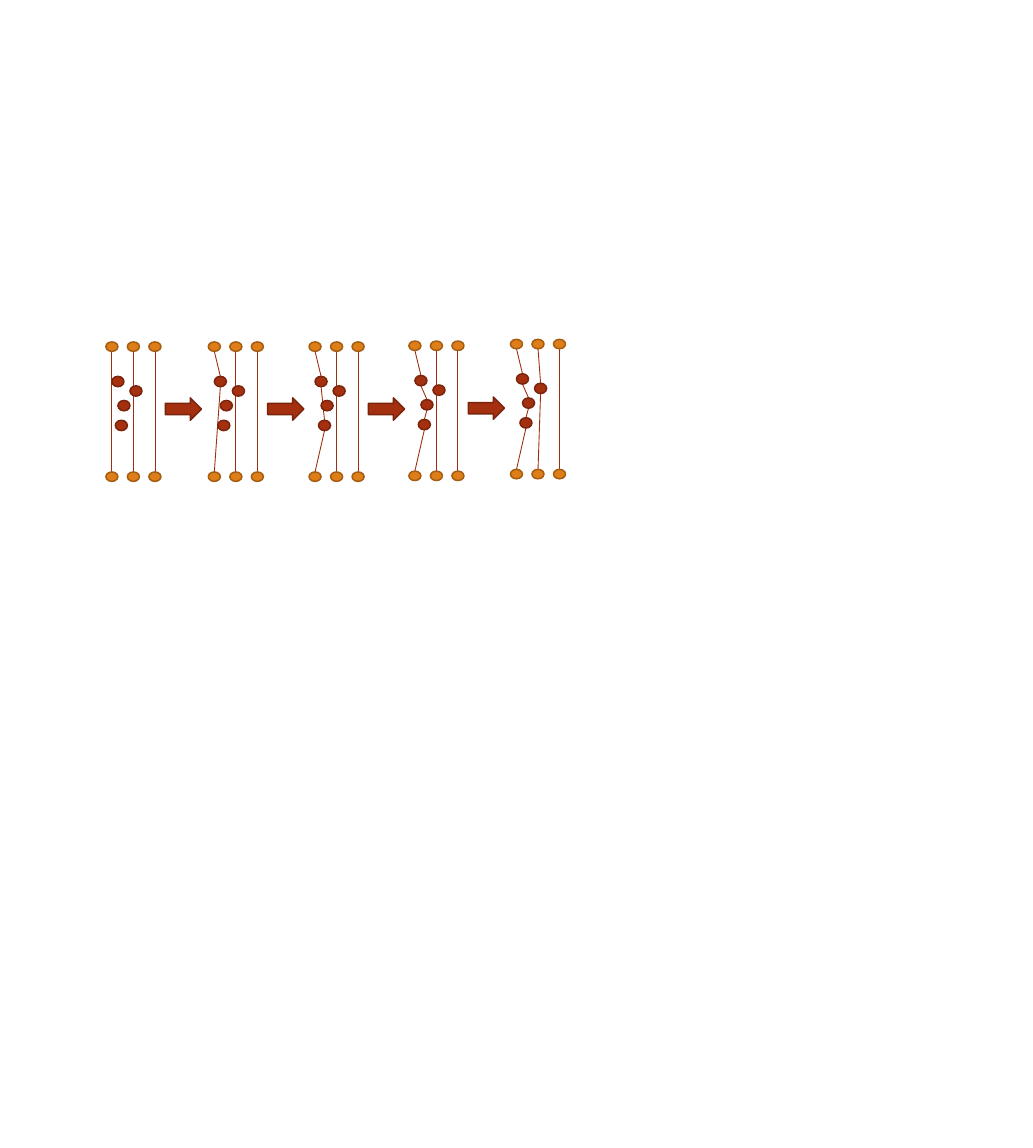
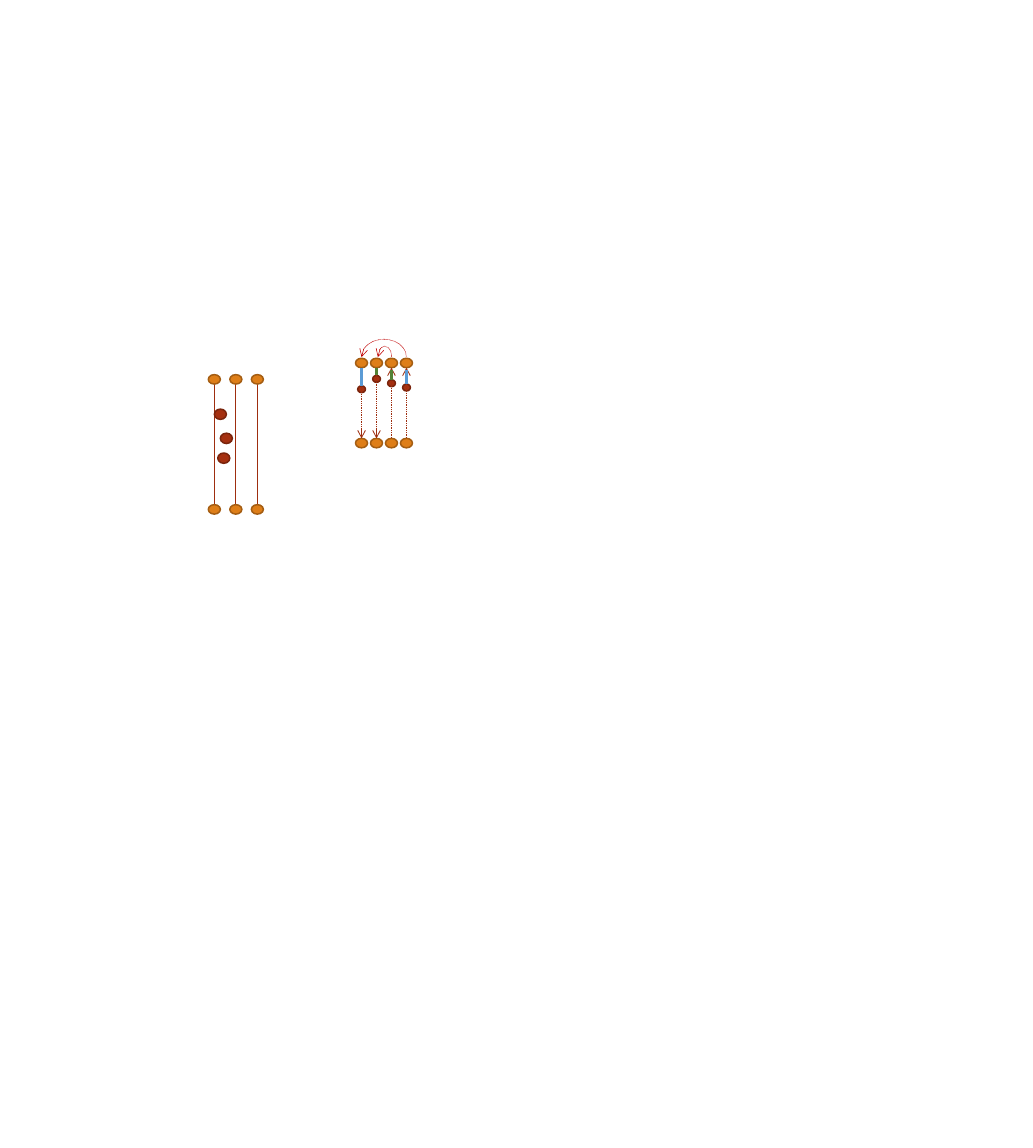
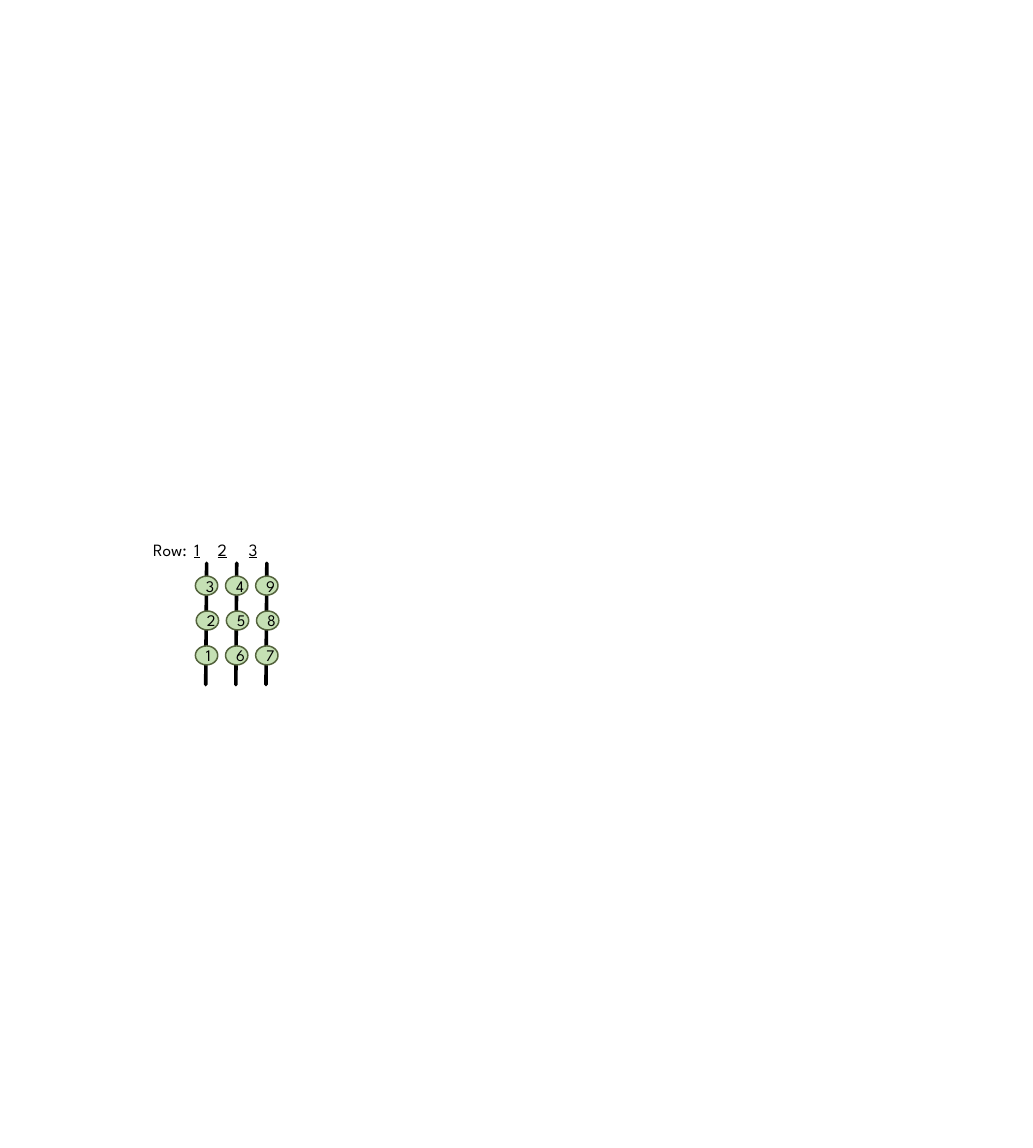
from lxml import etree
from pptx import Presentation
from pptx.dml.color import RGBColor
from pptx.enum import dml, shapes, text
from pptx.oxml.ns import qn
from pptx.util import Inches, Pt

COLORS = {
    "post": "DE7E18", "post_edge": "A45D12",
    "pin": "A53010", "pin_edge": "7A240C",
    "thread": "9E2E0F", "hop": "C00000",
    "blue": "5B9BD5", "green": "548235",
    "bead": "C5E0B4", "bead_edge": "54633D",
    "black": "000000",
}
FONT = "League Spartan"
SHAPE = shapes.MSO_SHAPE

POST_SIZE = (0.14, 0.11)
PIN_SIZE = (0.14, 0.12)
POST_GAP = 0.25
POST_DROP = 1.51
# Offsets of the pins from the top left corner of a stage
PINS = {
    "upper": (0.07, 0.4),
    "lower": (0.11, 0.91),
    "middle": (0.14, 0.68),
    "right": (0.28, 0.51),
}


def rgb(name):
    return RGBColor.from_string(COLORS[name])


def style_line(shape, color, width, dotted=False, head=False, tail=False, cap=None):
    shape.line.color.rgb = rgb(color)
    shape.line.width = Pt(width)
    if dotted:
        shape.line.dash_style = dml.MSO_LINE.ROUND_DOT
    outline = shape.element.spPr.get_or_add_ln()
    if cap:
        outline.set("cap", cap)
    for tag, wanted in (("a:headEnd", head), ("a:tailEnd", tail)):
        if wanted:
            etree.SubElement(outline, qn(tag), type="arrow")


def add_line(page, start, end, color="thread", width=0.75, **style):
    line = page.shapes.add_connector(
        shapes.MSO_CONNECTOR.STRAIGHT, *map(Inches, (*start, *end)))
    style_line(line, color, width, **style)
    etree.SubElement(line.element.spPr, qn("a:effectLst"))
    return line


def add_figure(page, kind, left, top, size, color):
    """Add a preset shape filled with a colour and outlined in its edge colour."""
    figure = page.shapes.add_shape(kind, *map(Inches, (left, top, *size)))
    figure.shadow.inherit = False
    figure.fill.solid()
    figure.fill.fore_color.rgb = rgb(color)
    style_line(figure, color + "_edge", 1.25)
    return figure


def add_span(para, content, size, underline=None):
    span = para.add_run()
    span.text = content
    span.font.name = FONT
    span.font.size = Pt(size)
    span.font.color.rgb = rgb("black")
    span.font.underline = underline


def add_stage(page, left, top, routes=((), (), ()), pins=tuple(PINS)):
    """Draw three threads between posts, each led past the pins of its route."""
    width, height = POST_SIZE
    for column, route in enumerate(routes):
        post_left = left + column * POST_GAP
        start = (post_left + width / 2, top + height)
        for name in route:
            across, down = PINS[name]
            center = left + across + PIN_SIZE[0] / 2
            add_line(page, start, (center, top + down))
            start = (center, top + down + PIN_SIZE[1])
        add_line(page, start, (post_left + width / 2, top + POST_DROP))
        for post_top in (top, top + POST_DROP):
            add_figure(page, SHAPE.OVAL, post_left, post_top, POST_SIZE, "post")
    for name in pins:
        across, down = PINS[name]
        add_figure(page, SHAPE.OVAL, left + across, top + down, PIN_SIZE, "pin")


def add_pass(page, left, pin_top, color, upward):
    """Draw a dotted thread between two posts, with a bar down to its pin."""
    top, drop = 4.16, 0.93
    center = left + POST_SIZE[0] / 2
    thread_top = top + POST_SIZE[1]
    add_figure(page, SHAPE.OVAL, center - 0.045, pin_top, (0.09, 0.08), "pin")
    for post_top in (top, top + drop):
        add_figure(page, SHAPE.OVAL, left, post_top, POST_SIZE, "post")
    add_line(page, (center, thread_top), (center, top + drop),
             dotted=True, head=upward, tail=not upward)
    bar_top = thread_top + (0.03 if upward else 0)
    add_line(page, (center, bar_top), (center, pin_top), color, 2)


def add_hop(page, left, top, width, height):
    """Draw a half-turn arrow that leads back to the left."""
    hop = page.shapes.add_shape(SHAPE.ARC, *map(Inches, (left, top, width, height)))
    hop.shadow.inherit = False
    hop.adjustments[0] = 107.08
    hop.adjustments[1] = 0
    hop.fill.background()
    style_line(hop, "hop", 0.5, dotted=True, head=True)


def add_bead(page, left, top, number):
    bead = add_figure(page, SHAPE.OVAL, left, top, (0.26, 0.22), "bead")
    bead.text_frame.vertical_anchor = text.MSO_ANCHOR.MIDDLE
    para = bead.text_frame.paragraphs[0]
    para.alignment = text.PP_ALIGN.CENTER
    add_span(para, str(number), 13.5)


def add_row_label(page, left, top, width, height, stops):
    box = page.shapes.add_textbox(*map(Inches, (left, top, width, height)))
    box.text_frame.word_wrap = True
    para = box.text_frame.paragraphs[0]
    tabs = etree.SubElement(para._p.get_or_add_pPr(), qn("a:tabLst"))
    add_span(para, "Row:", 14.4)
    for number, stop in enumerate(stops, 1):
        etree.SubElement(tabs, qn("a:tab"), pos=str(Inches(stop)), algn="l")
        add_span(para, "\t", 14.4)
        add_span(para, str(number), 14.4, underline=True)


def draw_steps(page):
    around = ("upper", "middle", "lower")
    stages = (
        (1.23, 3.97, ((), (), ())),
        (2.42, 3.97, (("upper",), (), ())),
        (3.59, 3.97, (("upper", "lower"), (), ())),
        (4.75, 3.96, (around, (), ())),
        (5.93, 3.94, (around, ("right",), ())),
    )
    for index, (left, top, routes) in enumerate(stages):
        add_stage(page, left, top, routes)
        if index < len(stages) - 1:
            add_figure(page, SHAPE.RIGHT_ARROW, left + 0.69, top + 0.65,
                       (0.42, 0.26), "pin")


def draw_passes(page):
    add_stage(page, 2.42, 4.35, pins=("upper", "lower", "middle"))
    passes = ((4.48, "blue", False), (4.36, "green", False),
              (4.41, "green", True), (4.46, "blue", True))
    for index, (pin_top, color, upward) in enumerate(passes):
        add_pass(page, 4.13 + index * 0.174, pin_top, color, upward)
    add_hop(page, 4.2, 3.94, 0.52, 0.4)
    add_hop(page, 4.39, 4.02, 0.16, 0.25)


def draw_rows(page):
    """Number the beads up and down the rows in turn."""
    count = 3
    for row in range(count):
        shift = row * 0.35
        add_line(page, (2.4 + shift, 6.54), (2.39 + shift, 7.95),
                 "black", 3, cap="rnd")
        for step in range(count):
            level = step if row % 2 else count - 1 - step
            nudge = 0.01 if level == 1 else 0
            add_bead(page, 2.27 + shift + nudge, 6.69 + level * 0.405,
                     row * count + step + 1)
    add_row_label(page, 1.68, 6.21, 1.63, 0.34, stops=(0.48, 0.75, 1.11))


def main():
    deck = Presentation()
    deck.slide_width, deck.slide_height = Inches(12), Inches(13.33)
    blank = deck.slide_layouts[6]
    for draw in (draw_steps, draw_passes, draw_rows):
        draw(deck.slides.add_slide(blank))
    deck.save("out.pptx")


if __name__ == "__main__":
    main()
